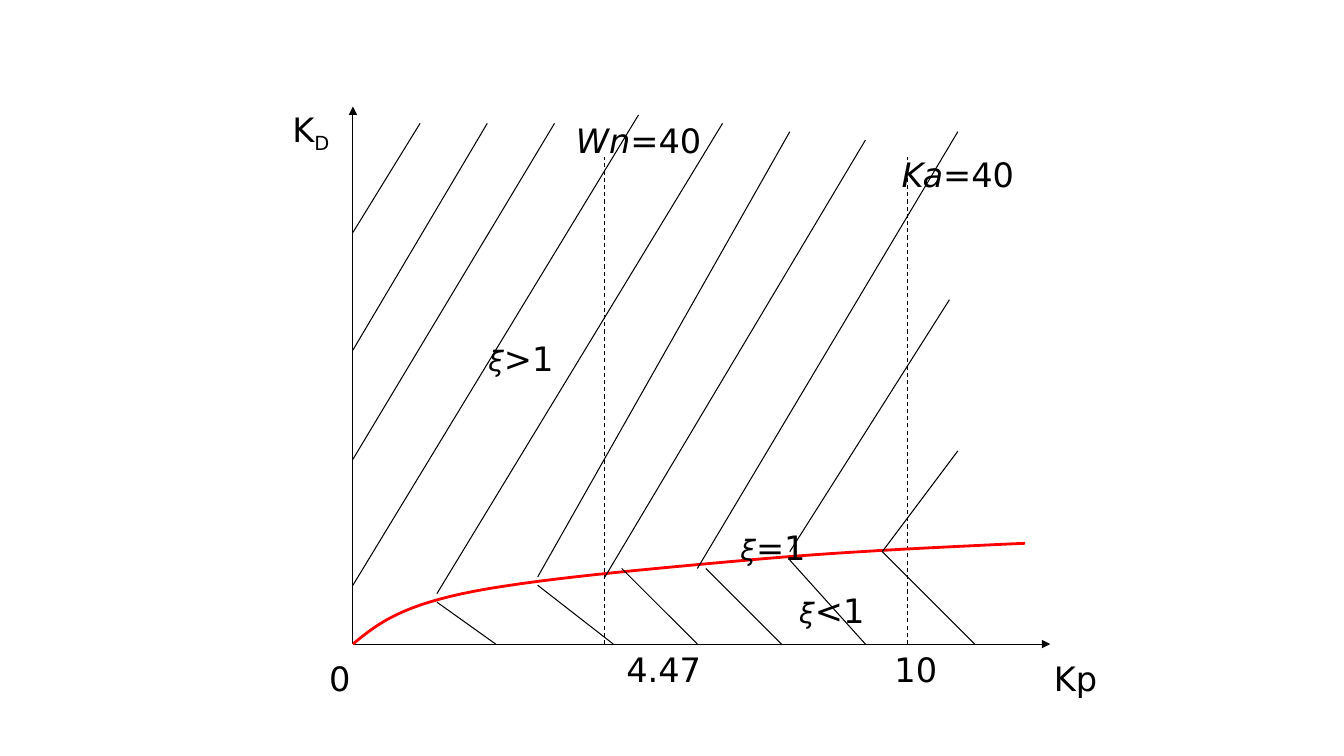
from pptx import Presentation
from pptx.dml.color import RGBColor
from pptx.enum.dml import MSO_LINE
from pptx.enum.shapes import MSO_CONNECTOR, MSO_SHAPE
from pptx.enum.text import MSO_ANCHOR, PP_ALIGN
from pptx.oxml.ns import qn
from pptx.util import Inches, Pt
from lxml import etree

STRAIGHT = MSO_CONNECTOR.STRAIGHT
RECTANGLE = MSO_SHAPE.RECTANGLE
DASH = MSO_LINE.DASH
MIDDLE, TOP = MSO_ANCHOR.MIDDLE, MSO_ANCHOR.TOP
CENTER, LEFT = PP_ALIGN.CENTER, PP_ALIGN.LEFT

COLORS = {"ink": "000000", "curve": "FF0000"}
FONT = "DejaVu Sans"
TICK = 1 / 12
ORIGIN_X, ORIGIN_Y = 3.5, 6.39
X_AXIS, Y_AXIS = 83, 64
CURVE_STEPS = 16

OVERDAMPED = [
    ((0, 49), (8, 62)), ((0, 35), (16, 62)), ((0, 22), (24, 62)),
    ((0, 7), (34, 63)), ((10, 6), (44, 62)), ((22, 8), (52, 61)),
    ((30, 8), (61, 60)), ((41, 9), (72, 61)), ((52, 11), (71, 41)),
    ((63, 11), (72, 23)),
]
UNDERDAMPED = [
    ((10, 5), (17, 0)), ((22, 7), (31, 0)), ((32, 9), (41, 0)),
    ((42, 9), (51, 0)), ((52, 10), (61, 0)), ((63, 11), (74, 0)),
]
CRITICAL = [
    ((0, 0), (2.64, 2.16), (5.16, 4.3), (13, 6)),
    ((13, 6), (20.9, 7.7), (35.9, 9), (47, 10)),
    ((47, 10), (58.2, 11), (69.1, 11.5), (80, 12)),
]


def at(point):
    x, y = point
    return Inches(ORIGIN_X + x * TICK), Inches(ORIGIN_Y - y * TICK)


def rgb(name):
    return RGBColor.from_string(COLORS[name])


def add_line(s, start, end, dashed=False, arrow=False):
    c = s.shapes.add_connector(STRAIGHT, *at(start), *at(end))
    c.line.color.rgb = rgb("ink")
    c.line.width = Pt(0.75)
    if dashed:
        c.line.dash_style = DASH
    if arrow:
        ln = c.line._get_or_add_ln()
        etree.SubElement(ln, qn("a:tailEnd"), type="triangle")
    etree.SubElement(c._element.spPr, qn("a:effectLst"))


def add_text(s, runs, corner, width=10, height=6, align=CENTER, anchor=MIDDLE):
    sp = s.shapes.add_shape(RECTANGLE, *at(corner), Inches(width * TICK), Inches(height * TICK))
    sp.shadow.inherit = False
    sp.fill.background()
    sp.line.fill.background()
    tf = sp.text_frame
    tf.word_wrap = False
    tf.vertical_anchor = anchor
    p = tf.paragraphs[0]
    p.alignment = align
    for text, style in runs:
        r = p.add_run()
        r.text = text
        r.font.name = FONT
        r.font.size = Pt(style.get("size", 24))
        r.font.italic = style.get("italic", False)
        r.font.color.rgb = rgb("ink")
        if "baseline" in style:
            r._r.get_or_add_rPr().set("baseline", str(style["baseline"] * 1000))


def bezier(points, t):
    weights = ((1 - t) ** 3, 3 * t * (1 - t) ** 2, 3 * t * t * (1 - t), t ** 3)
    return tuple(sum(w * v for w, v in zip(weights, axis)) for axis in zip(*points))


def draw_curve(s):
    points = [at(bezier(part, i / CURVE_STEPS))
              for part in CRITICAL for i in range(1, CURVE_STEPS + 1)]
    builder = s.shapes.build_freeform(*at(CRITICAL[0][0]))
    builder.add_line_segments(points, close=False)
    sp = builder.convert_to_shape()
    sp.shadow.inherit = False
    sp.fill.background()
    sp.line.color.rgb = rgb("curve")
    sp.line.width = Pt(2)


def draw_axes(s):
    add_line(s, (0, 0), (X_AXIS, 0), arrow=True)
    add_line(s, (0, 0), (0, Y_AXIS), arrow=True)
    for x in (30, 66):
        add_line(s, (x, 0), (x, 58), dashed=True)


def draw_hatching(s):
    for start, end in OVERDAMPED + UNDERDAMPED:
        add_line(s, start, end)


def draw_labels(s):
    for text, corner in (("4.47", (32, 0)), ("10", (62, 0)), ("Kp", (81, -1))):
        add_text(s, [(text, {})], corner)
    add_text(s, [("0", {})], (-4, -1), width=5, align=LEFT, anchor=TOP)
    add_text(s, [("K", {}), ("D", {"baseline": -25})], (-10, 64))
    for name, corner in (("Wn", (29, 63)), ("Ka", (67, 59))):
        add_text(s, [(name, {"italic": True}), ("=40", {})], corner)
    for sign, corner, height in ((">", (15, 41), 14), ("=", (45, 16), 9), ("<", (52, 11), 14)):
        runs = [("ξ", {"size": 20, "italic": True}), (sign, {"italic": True}), ("1", {})]
        add_text(s, runs, corner, height=height)


def main():
    prs = Presentation()
    prs.slide_width, prs.slide_height = Inches(13.33), Inches(7.5)
    s = prs.slides.add_slide(prs.slide_layouts[6])
    draw_axes(s)
    draw_curve(s)
    draw_hatching(s)
    draw_labels(s)
    prs.save("out.pptx")


if __name__ == "__main__":
    main()
